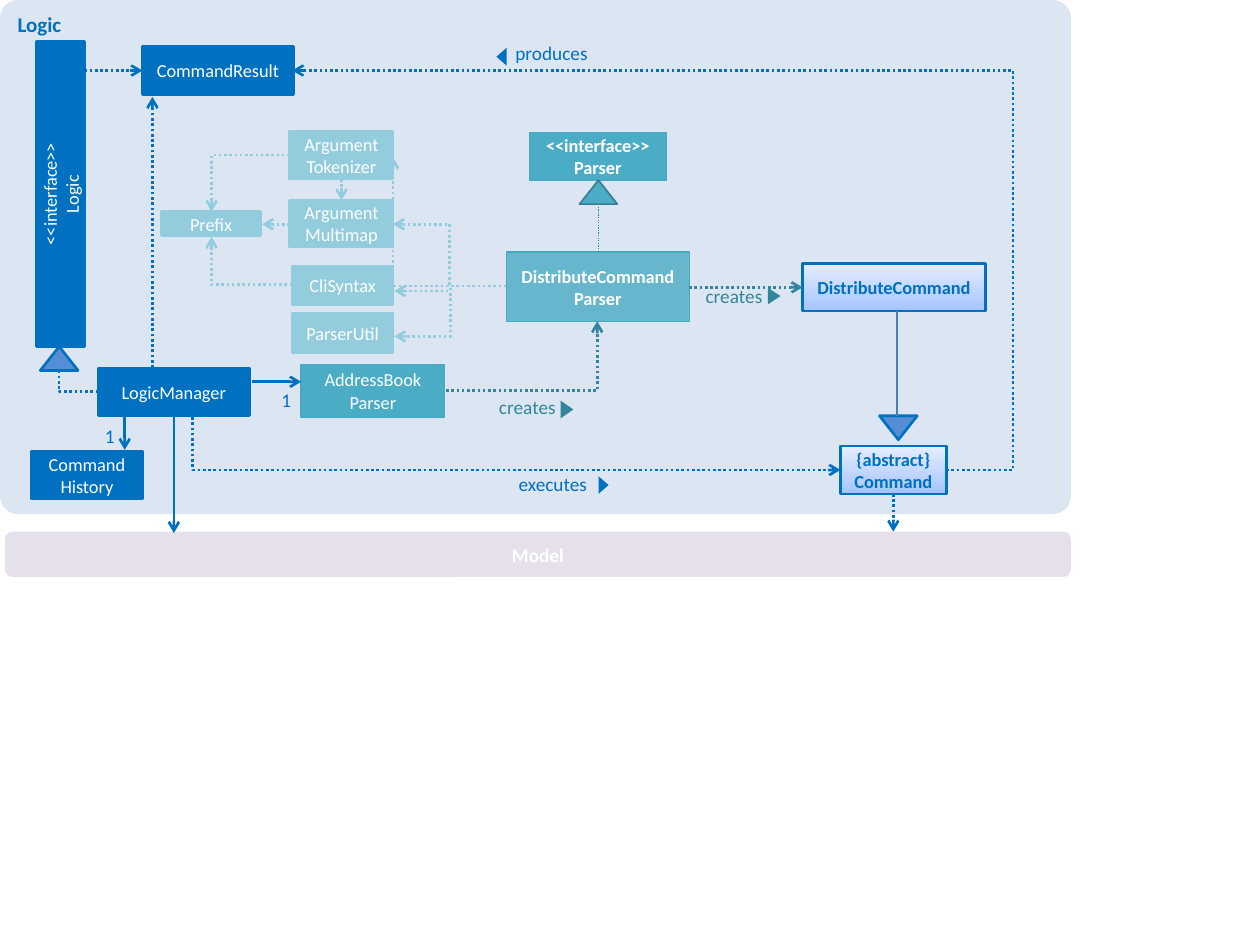
from pptx import Presentation, util as u
from pptx.dml.color import RGBColor
from pptx.enum import dml, shapes, text
from pptx.oxml import parse_xml
from pptx.oxml.ns import nsdecls, qn

BLUE, TEAL, PALE, DEEP = "0070C0", "4BACC6", "93CDDD", "31859C"
EDGE, MID, WHITE = "46AAC5", "558ED5", "FFFFFF"
CORE = dict(fill=BLUE, line=BLUE)
HELP = dict(fill=PALE, line=PALE)
PARSE = dict(fill=TEAL, line=EDGE, wide=0.75)
GRAD = dict(fill=("A4C4FF", "E6EEFF"), line=BLUE, color=BLUE, bold=True)

PANELS = [
    ("Logic", (0, 0, 8.5, 4.08),
     dict(fill="DCE6F2", adj=0.035, color=BLUE, size=12, bold=True,
          align="LEFT", anchor="TOP")),
    ("Model", (0.04, 4.22, 8.46, 0.36),
     dict(fill="E6E0EC", adj=0.17, size=11, bold=True)),
]
BOXES = [
    ("CommandResult", (1.13, 0.37, 1.2, 0.38), CORE),
    ("LogicManager", (0.78, 2.92, 1.2, 0.38), CORE),
    ("Command\nHistory", (0.25, 3.58, 0.88, 0.38), CORE),
    ("<<interface>>\nLogic", (-0.73, 1.35, 2.42, 0.38), dict(CORE, turn=270)),
    ("Argument\nTokenizer", (2.3, 1.04, 0.82, 0.38), HELP),
    ("Argument\nMultimap", (2.3, 1.59, 0.82, 0.37), HELP),
    ("Prefix", (1.28, 1.68, 0.79, 0.19), HELP),
    ("CliSyntax", (2.32, 2.11, 0.8, 0.31), HELP),
    ("ParserUtil", (2.32, 2.49, 0.8, 0.31), HELP),
    ("AddressBook\nParser", (2.39, 2.89, 1.14, 0.42), PARSE),
    ("<<interface>>\nParser", (4.2, 1.05, 1.09, 0.38), dict(PARSE, bold=True)),
    ("DistributeCommand\nParser", (4.02, 2, 1.45, 0.55),
     dict(PARSE, bold=True, alpha=81)),
    ("DistributeCommand", (6.37, 2.09, 1.45, 0.38), GRAD),
    ("{abstract}\nCommand", (6.67, 3.54, 0.84, 0.38), GRAD),
]
HEADS = [
    ((0.32, 2.75, 0.3, 0.19), dict(fill=MID, line=BLUE)),
    ((6.98, 3.3, 0.3, 0.19), dict(fill=MID, line=BLUE, turn=180)),
    ((4.6, 1.43, 0.3, 0.19), dict(fill=TEAL, line="377F92", wide=1)),
    ((4.72, 3.81, 0.14, 0.08), dict(fill=BLUE, turn=90)),
    ((3.91, 0.41, 0.14, 0.08), dict(fill=BLUE, turn=270)),
    ((4.43, 3.2, 0.14, 0.1), dict(fill=DEEP, turn=90)),
    ((6.08, 2.3, 0.13, 0.1), dict(fill=DEEP, turn=90)),
]
LABELS = [
    ("executes", (3.86, 3.75, 0.8, 0.25), BLUE, "RIGHT"),
    ("produces", (4.09, 0.33, 0.8, 0.25), BLUE, "LEFT"),
    ("creates", (3.96, 3.14, 0.61, 0.28), DEEP, "LEFT"),
    ("creates", (5.6, 2.26, 0.65, 0.24), DEEP, "LEFT"),
    ("1", (2.17, 3.08, 0.14, 0.25), BLUE, "RIGHT"),
    ("1", (0.77, 3.37, 0.14, 0.25), BLUE, "RIGHT"),
]
FORK = (4.02, 2.27)
LINES = [
    ((0.67, 0.56), (1.13, 0.56), BLUE, {}),
    ((1.21, 2.92), (1.21, 0.77), BLUE, {}),
    ((7.09, 3.92), (7.09, 4.22), BLUE, {}),
    ((1.38, 3.3), (1.38, 4.23), BLUE, dict(dots=False)),
    ((0.99, 3.31), (0.99, 3.57), BLUE, dict(dots=False)),
    ((2, 3.03), (2.39, 3.03), BLUE, dict(dots=False)),
    ((7.12, 2.47), (7.12, 3.3), "4B7EBC", dict(dots=False, tip=False)),
    ((2.3, 1.78), (2.08, 1.78), PALE, {}),
    ((2.71, 1.42), (2.71, 1.59), PALE, {}),
    ((5.47, 2.28), (6.37, 2.28), DEEP, {}),
    ((4.75, 1.62), (4.75, 2), DEEP, dict(tip=False, wide=0.75)),
    ((7.51, 3.73), (2.32, 0.56), BLUE, dict(bend=-0.102)),
    ((1.53, 3.31), (6.67, 3.73), BLUE, dict(bend=0)),
    (FORK, (3.12, 1.78), PALE, dict(bend=0.5)),
    (FORK, (3.13, 2.31), PALE, dict(bend=0.5)),
    (FORK, (3.13, 2.67), PALE, dict(bend=0.5)),
    (FORK, (3.12, 1.25), PALE, dict(bend="corner")),
    ((2.32, 2.26), (1.68, 1.88), PALE, dict(bend="corner")),
    ((2.3, 1.23), (1.68, 1.68), PALE, dict(bend="corner")),
    ((3.54, 3.1), (4.74, 2.55), DEEP, dict(bend="corner")),
    ((0.78, 3.11), (0.47, 2.94), BLUE, dict(bend="corner", tip=False)),
]


def rgb(code):
    """Turn a hex string into a colour."""
    return RGBColor.from_string(code)


def node(tag, attrs=""):
    """Make one empty drawing element."""
    return parse_xml(f"<a:{tag} {nsdecls('a')} {attrs}/>")


def write(shape, words, size=10.5, color=WHITE, bold=False, align="CENTER",
          anchor="MIDDLE", inset=None):
    """Fill a shape with formatted paragraphs."""
    frame = shape.text_frame
    frame.word_wrap = True
    frame.vertical_anchor = getattr(text.MSO_ANCHOR, anchor)
    if inset is not None:
        frame.margin_left = frame.margin_right = u.Inches(inset)
        frame.margin_top = frame.margin_bottom = u.Inches(inset)
    frame.text = words
    for para in frame.paragraphs:
        para.alignment = getattr(text.PP_ALIGN, align)
        for run in para.runs:
            font = run.font
            font.name, font.size, font.bold = "Calibri", u.Pt(size), bold
            font.color.rgb = rgb(color)


def draw(slide, kind, place, fill, line=None, wide=1.5, turn=0, alpha=None,
         adj=None, words="", **form):
    """Add a filled preset shape with optional text."""
    shape = slide.shapes.add_shape(kind, *map(u.Inches, place))
    shape.shadow.inherit = False
    shape.rotation = turn
    if adj is not None:
        shape.adjustments[0] = adj
    if isinstance(fill, tuple):
        shape.fill.gradient()
        shape.fill.gradient_angle = 90
        for stop, code in zip(shape.fill.gradient_stops, fill):
            stop.color.rgb = rgb(code)
    else:
        shape.fill.solid()
        shape.fill.fore_color.rgb = rgb(fill)
    if alpha:
        tint = shape._element.spPr.find(".//" + qn("a:srgbClr"))
        tint.append(node("alpha", f'val="{alpha * 1000}"'))
    if line:
        shape.line.color.rgb = rgb(line)
        shape.line.width = u.Pt(wide)
    else:
        shape.line.fill.background()
    if words:
        write(shape, words, **form)


def link(slide, start, end, color, dots=True, tip=True, wide=1.5, bend=None):
    """Add a straight or bent connector."""
    kinds = shapes.MSO_CONNECTOR
    kind = kinds.STRAIGHT if bend is None else kinds.ELBOW
    wire = slide.shapes.add_connector(kind, *map(u.Inches, start + end))
    props = wire._element.spPr
    geom = props.find(qn("a:prstGeom"))
    if bend == "corner":
        geom.set("prst", "bentConnector2")
    elif bend is not None:
        guide = f'name="adj1" fmla="val {round(bend * 100000)}"'
        geom.get_or_add_avLst().append(node("gd", guide))
    wire.line.color.rgb = rgb(color)
    wire.line.width = u.Pt(wide)
    if dots:
        wire.line.dash_style = dml.MSO_LINE.ROUND_DOT
    if tip:
        props.find(qn("a:ln")).append(node("tailEnd", 'type="arrow"'))
    props.append(node("effectLst"))


def main():
    """Build the class diagram slide."""
    deck = Presentation()
    deck.slide_width, deck.slide_height = u.Inches(10), u.Inches(7.5)
    slide = deck.slides.add_slide(deck.slide_layouts[6])
    kinds = shapes.MSO_SHAPE
    for kind, group in ((kinds.ROUNDED_RECTANGLE, PANELS),
                        (kinds.RECTANGLE, BOXES)):
        for words, place, form in group:
            draw(slide, kind, place, words=words, **form)
    for place, form in HEADS:
        draw(slide, kinds.ISOSCELES_TRIANGLE, place, **form)
    for start, end, color, form in LINES:
        link(slide, start, end, color, **form)
    for words, place, color, align in LABELS:
        box = slide.shapes.add_textbox(*map(u.Inches, place))
        write(box, words, size=11, color=color, align=align, anchor="TOP",
              inset=0)
    deck.save("out.pptx")


if __name__ == "__main__":
    main()
